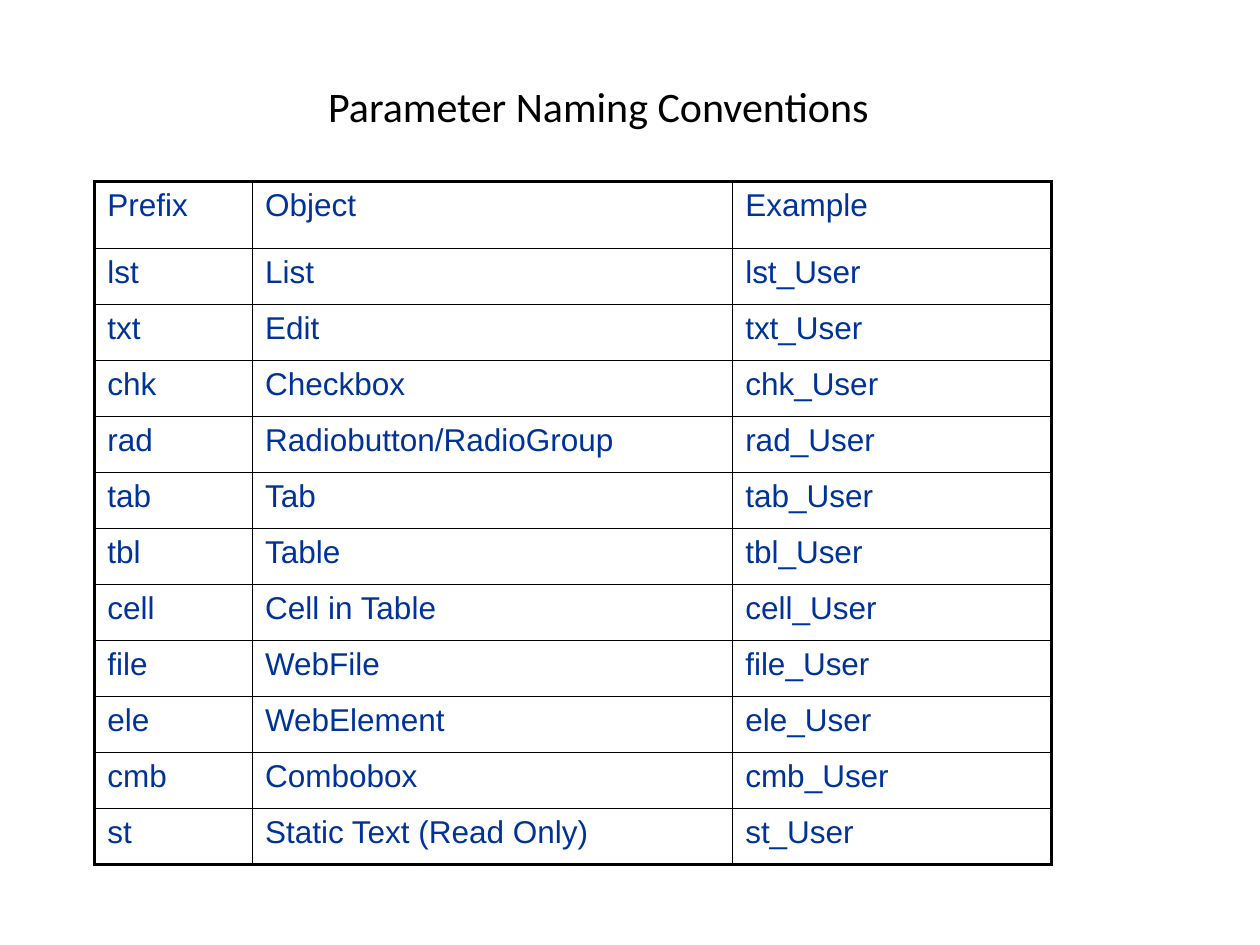
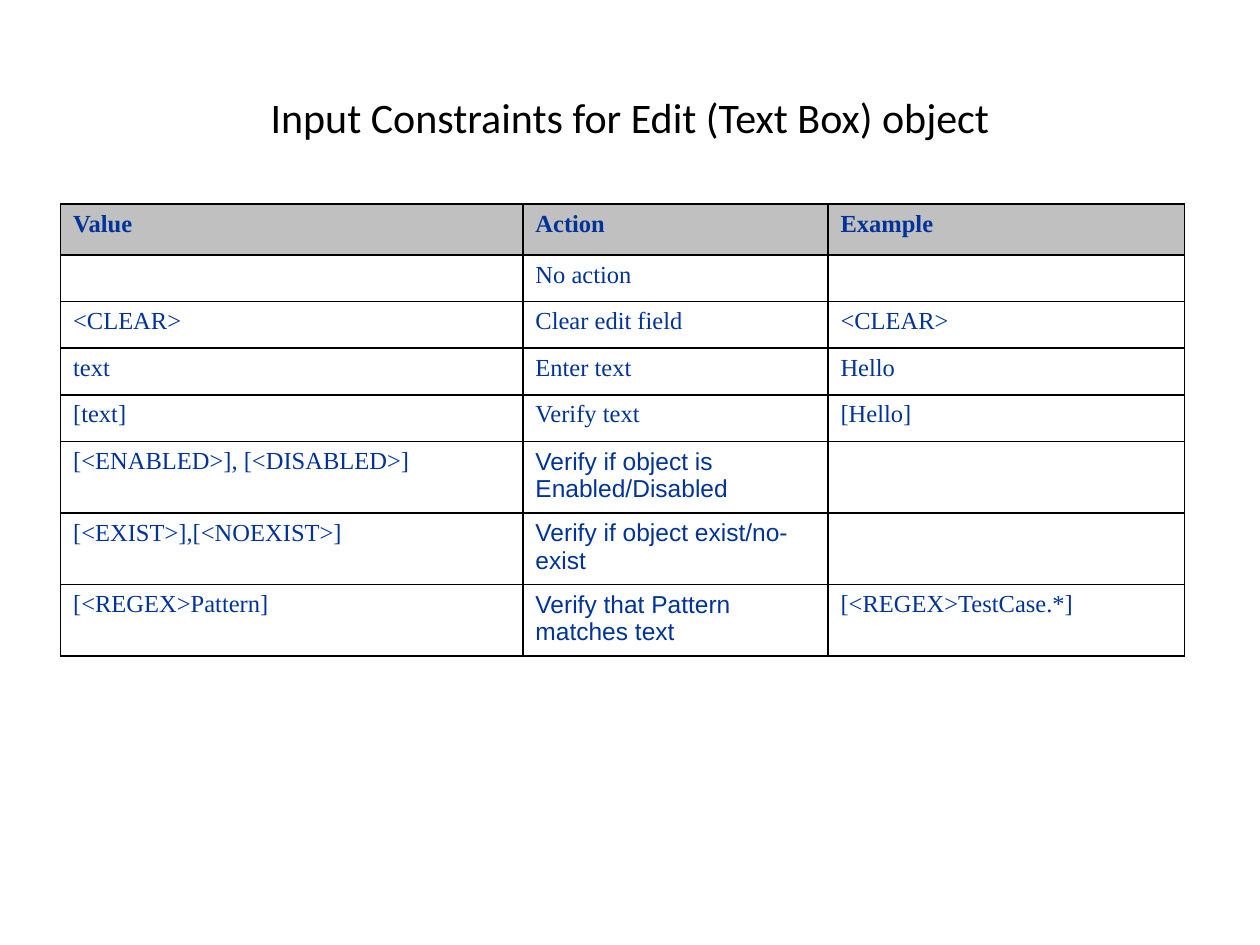
from dataclasses import dataclass

import lxml.etree
import pptx
import pptx.dml.color
import pptx.enum.text
import pptx.oxml.ns
import pptx.util

Cm = pptx.util.Cm
Pt = pptx.util.Pt
qn = pptx.oxml.ns.qn


@dataclass(frozen=True)
class Theme:
    """Colours, fonts and sizes shared by the slides."""
    title_color: str = "000000"
    cell_color: str = "003399"
    line_color: str = "000000"
    header_fill: str = "C0C0C0"
    title_font: str = "Calibri"
    sans: str = "Arial"
    serif: str = "Times New Roman"
    title_size: float = 24
    naming_size: float = 18
    constraint_size: float = 14
    thin: float = 1
    thick: float = 2.25


THEME = Theme()

OBJECTS = [
    ("lst", "List"), ("txt", "Edit"), ("chk", "Checkbox"),
    ("rad", "Radiobutton/RadioGroup"), ("tab", "Tab"), ("tbl", "Table"),
    ("cell", "Cell in Table"), ("file", "WebFile"), ("ele", "WebElement"),
    ("cmb", "Combobox"), ("st", "Static Text (Read Only)"),
]

CONSTRAINTS = [
    ("Value", "Action", "Example"),
    ("", "No action", ""),
    ("<CLEAR>", "Clear edit field", "<CLEAR>"),
    ("text", "Enter text", "Hello"),
    ("[text]", "Verify text", "[Hello]"),
    ("[<ENABLED>], [<DISABLED>]", "Verify if object is Enabled/Disabled", ""),
    ("[<EXIST>],[<NOEXIST>]", "Verify if object exist/no-exist", ""),
    ("[<REGEX>Pattern]", "Verify that Pattern matches text", "[<REGEX>TestCase.*]"),
]


def rgb(value):
    """Turn a hex string into a colour."""
    return pptx.dml.color.RGBColor.from_string(value)


def style_paragraph(para, font, size, color, bold=False):
    """Set the font of a whole paragraph."""
    para.font.name = font
    para.font.size = Pt(size)
    para.font.color.rgb = rgb(color)
    para.font.bold = bold


def add_title(page, box, text):
    """Place a centred title in the box (left, top, width, height in cm)."""
    frame = page.shapes.add_textbox(*map(Cm, box)).text_frame
    frame.word_wrap = True
    frame.vertical_anchor = pptx.enum.text.MSO_ANCHOR.MIDDLE
    para = frame.paragraphs[0]
    para.text = text
    para.alignment = pptx.enum.text.PP_ALIGN.CENTER
    style_paragraph(para, THEME.title_font, THEME.title_size, THEME.title_color)


def set_border(cell, side, width):
    """Draw one side of a cell: L, R, T or B."""
    properties = cell._tc.get_or_add_tcPr()
    line = lxml.etree.SubElement(properties, qn(f"a:ln{side}"), w=str(Pt(width)))
    fill = lxml.etree.SubElement(line, qn("a:solidFill"))
    lxml.etree.SubElement(fill, qn("a:srgbClr"), val=THEME.line_color)


def fill_cell(cell, text, font, size, bold, fill):
    """Write and colour one cell."""
    para = cell.text_frame.paragraphs[0]
    para.text = text
    style_paragraph(para, font, size, THEME.cell_color, bold)
    if not text:
        lxml.etree.SubElement(para._p, qn("a:endParaRPr"), sz=str(size * 100))
    if fill:
        cell.fill.solid()
        cell.fill.fore_color.rgb = rgb(fill)
    else:
        cell.fill.background()


def add_grid(page, corner, widths, heights, rows, size, font_at, outline, header_fill=None):
    """Place a ruled table at the corner, with an outline of its own width."""
    left, top = corner
    frame = page.shapes.add_table(
        len(rows), len(widths), Cm(left), Cm(top), Cm(sum(widths)), Cm(sum(heights)))
    table = frame.table
    table.first_row = table.horz_banding = False
    for column, width in zip(table.columns, widths):
        column.width = Cm(width)
    for row, height in zip(table.rows, heights):
        row.height = Cm(height)
    last_row, last_column = len(rows) - 1, len(widths) - 1
    for r, texts in enumerate(rows):
        for c, text in enumerate(texts):
            cell = table.cell(r, c)
            edges = {"L": c == 0, "R": c == last_column, "T": r == 0, "B": r == last_row}
            for side, outer in edges.items():
                set_border(cell, side, outline if outer else THEME.thin)
            is_header = bool(header_fill) and r == 0
            fill_cell(cell, text, font_at(r, c), size, is_header,
                      header_fill if is_header else None)


def add_naming_page(deck):
    """Build the slide of prefixes for each kind of object."""
    page = deck.slides.add_slide(deck.slide_layouts[6])
    add_title(page, (1.27, 0.64, 21.59, 2.97), "Parameter Naming Conventions")
    rows = [("Prefix", "Object", "Example")]
    rows += [(prefix, name, f"{prefix}_User") for prefix, name in OBJECTS]
    add_grid(page, (1.91, 3.66), (3.18, 9.68, 6.43), [1.35] + [1.13] * len(OBJECTS),
             rows, THEME.naming_size, lambda r, c: THEME.sans, THEME.thick)


def add_constraints_page(deck):
    """Build the slide of values that an edit object accepts."""
    page = deck.slides.add_slide(deck.slide_layouts[6])
    add_title(page, (1.27, 0.76, 22.86, 3.18), "Input Constraints for Edit (Text Box) object")
    add_grid(page, (1.22, 4.11), (9.32, 6.15, 7.19), [1.03] + [0.94] * 4 + [1.41, 1.37, 1.37],
             CONSTRAINTS, THEME.constraint_size,
             lambda r, c: THEME.sans if r >= 5 and c == 1 else THEME.serif,
             THEME.thin, THEME.header_fill)


def main():
    """Build and save the deck."""
    deck = pptx.Presentation()
    deck.slide_width, deck.slide_height = Cm(25.4), Cm(19.05)
    add_naming_page(deck)
    add_constraints_page(deck)
    deck.save("out.pptx")


main()
